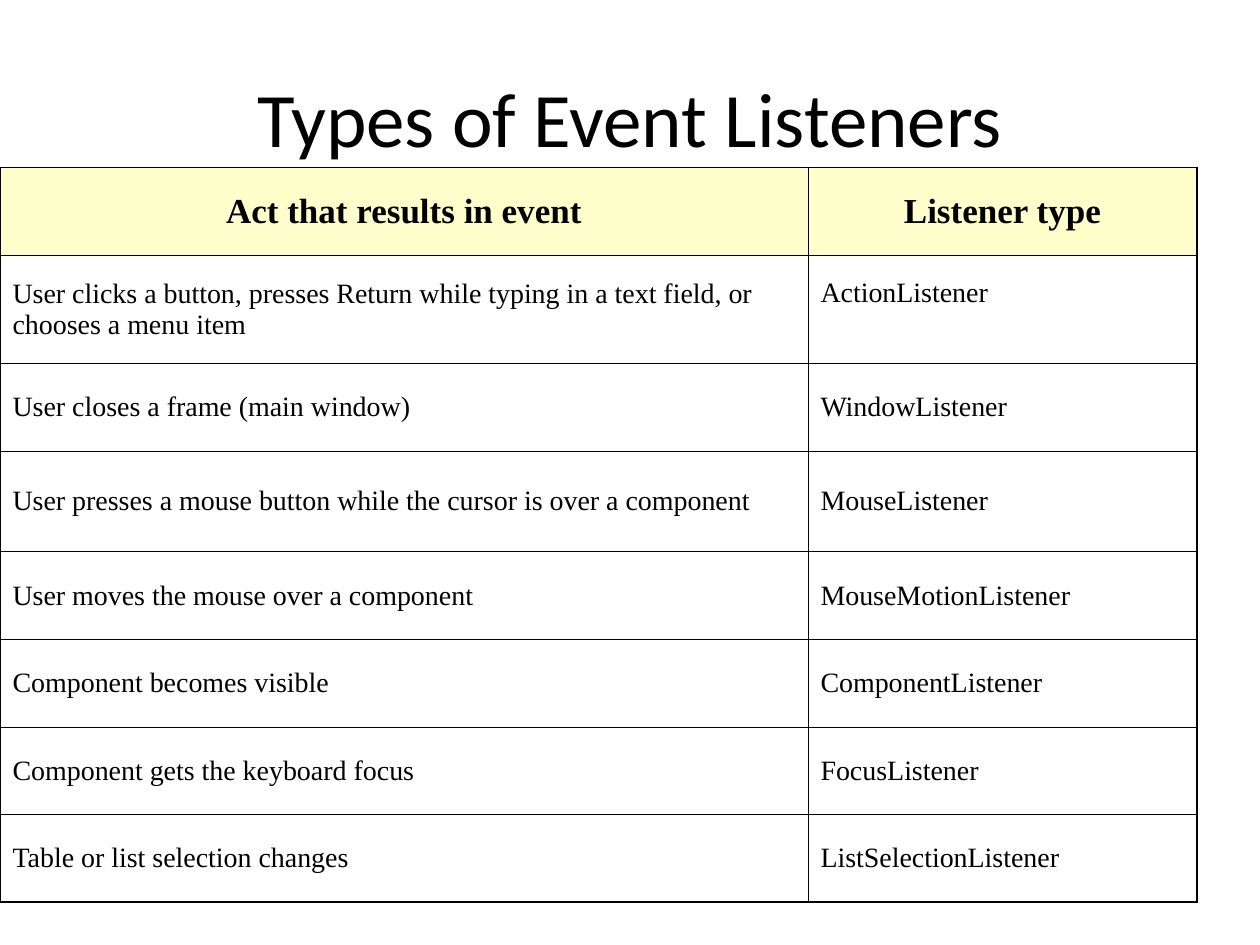
import pptx
import pptx.util
import pptx.dml.color
import pptx.enum.text
import pptx.oxml.ns
import lxml.etree

Inches = pptx.util.Inches
Pt = pptx.util.Pt
BLACK = pptx.dml.color.RGBColor(0x00, 0x00, 0x00)
HEADER_YELLOW = pptx.dml.color.RGBColor(0xFF, 0xFF, 0xCC)
OUTER_LINE, INNER_LINE = Pt(1.08), Pt(0.45)
ALIGN = pptx.enum.text.PP_ALIGN
MIDDLE = pptx.enum.text.MSO_ANCHOR.MIDDLE

LISTENERS = [
    ("Act that results in event", "Listener type"),
    ("User clicks a button, presses Return while typing in a text field, "
     "or chooses a menu item", "ActionListener"),
    ("User closes a frame (main window)", "WindowListener"),
    ("User presses a mouse button while the cursor is over a component",
     "MouseListener"),
    ("User moves the mouse over a component", "MouseMotionListener"),
    ("Component becomes visible", "ComponentListener"),
    ("Component gets the keyboard focus", "FocusListener"),
    ("Table or list selection changes", "ListSelectionListener"),
]
TALL_ROWS = {1: Inches(0.86), 3: Inches(0.8)}
ACT_SHARE = 0.675


def format_text(para, font_name, size, align, bold=False):
    para.alignment = align
    for span in para.runs:
        span.font.name = font_name
        span.font.size = Pt(size)
        span.font.bold = bold
        span.font.color.rgb = BLACK


def set_borders(cell, widths):
    """Draw the four cell edges; widths maps L, R, T, B to line widths."""
    properties = cell._tc.get_or_add_tcPr()
    for side in "LRTB":
        line = lxml.etree.SubElement(
            properties, pptx.oxml.ns.qn("a:ln" + side), w=str(int(widths[side])))
        fill = lxml.etree.SubElement(line, pptx.oxml.ns.qn("a:solidFill"))
        lxml.etree.SubElement(fill, pptx.oxml.ns.qn("a:srgbClr"), val=str(BLACK))


def add_title(page, left, top, width, height):
    box = page.shapes.add_textbox(left, top, width, height)
    frame = box.text_frame
    frame.word_wrap = True
    frame.vertical_anchor = MIDDLE
    frame.text = "Types of Event Listeners"
    format_text(frame.paragraphs[0], "Calibri", 44, ALIGN.CENTER)


def fill_cell(cell, text, is_header):
    cell.vertical_anchor = MIDDLE
    cell.text_frame.text = text
    para = cell.text_frame.paragraphs[0]
    if is_header:
        format_text(para, "Times New Roman", 20, ALIGN.CENTER, bold=True)
        cell.fill.solid()
        cell.fill.fore_color.rgb = HEADER_YELLOW
    else:
        format_text(para, "Times New Roman", 16, ALIGN.LEFT)
        cell.fill.background()


def add_listener_table(page, left, top, width, height):
    last_row, last_column = len(LISTENERS) - 1, 1
    table = page.shapes.add_table(
        last_row + 1, last_column + 1, left, top, width, height).table
    table.first_row = table.horz_banding = False

    # Column widths and row heights
    table.columns[0].width = int(width * ACT_SHARE)
    table.columns[1].width = width - table.columns[0].width
    plain_height = (height - sum(TALL_ROWS.values())) // (
        len(LISTENERS) - len(TALL_ROWS))
    for index, row in enumerate(table.rows):
        row.height = TALL_ROWS.get(index, plain_height)

    # Cells with a heavier outer frame
    for row_index, texts in enumerate(LISTENERS):
        for column_index, text in enumerate(texts):
            cell = table.cell(row_index, column_index)
            on_edge = {"L": column_index == 0, "R": column_index == last_column,
                       "T": row_index == 0, "B": row_index == last_row}
            set_borders(cell, {side: OUTER_LINE if outer else INNER_LINE
                               for side, outer in on_edge.items()})
            fill_cell(cell, text, is_header=row_index == 0)

    # Level ActionListener with the first line of its two-line neighbour
    table.cell(1, 1).margin_bottom = Inches(0.3)


def main():
    deck = pptx.Presentation()
    deck.slide_width, deck.slide_height = Inches(10), Inches(7.5)
    page = deck.slides.add_slide(deck.slide_layouts[6])
    add_title(page, Inches(0.5), Inches(0.3), Inches(9), Inches(1.25))
    add_listener_table(page, Inches(0), Inches(1.33), Inches(9.5), Inches(5.83))
    deck.save("out.pptx")


if __name__ == "__main__":
    main()
